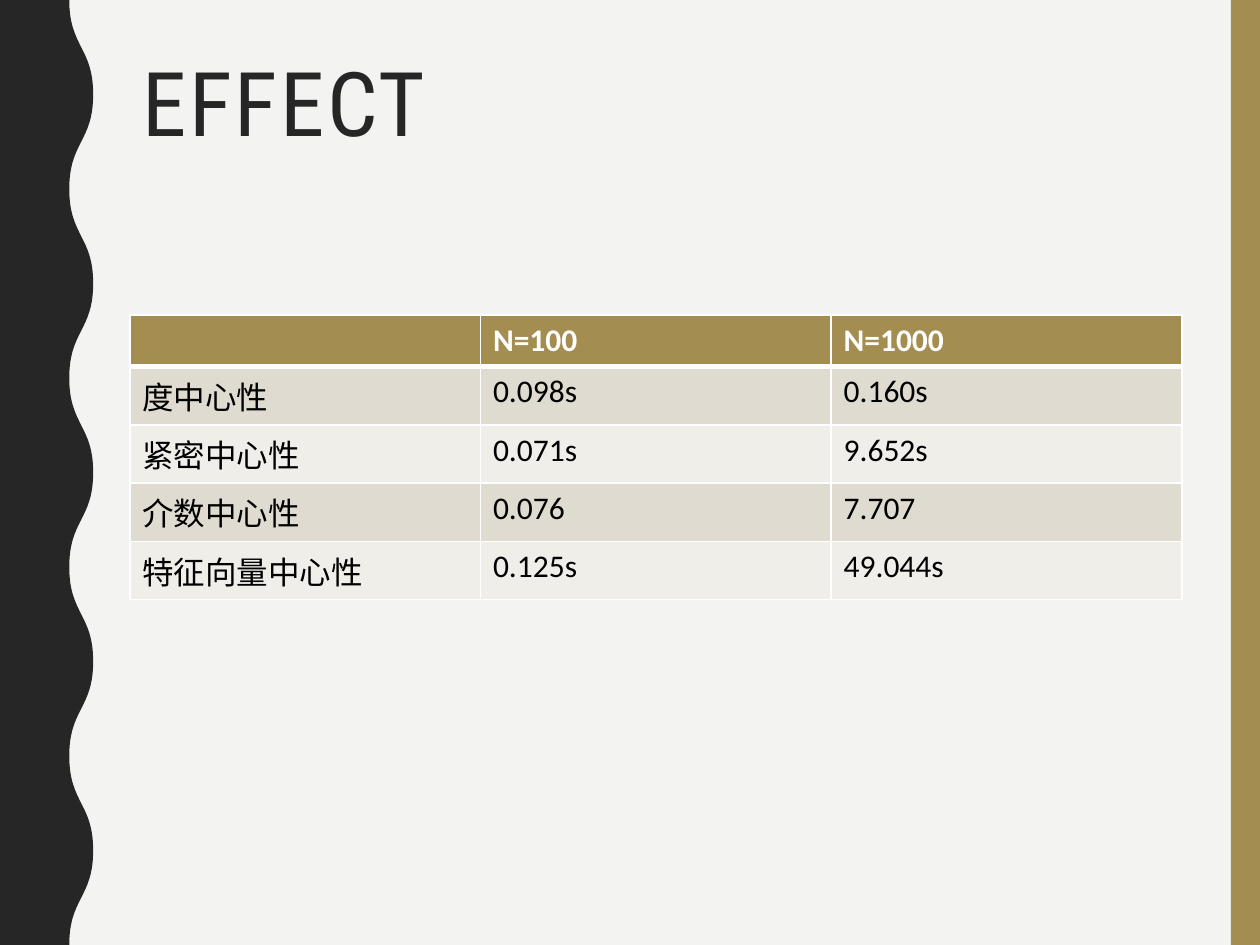
from dataclasses import dataclass

import pptx
import pptx.dml.color
import pptx.enum.shapes
import pptx.enum.text
import pptx.oxml
import pptx.oxml.ns
import pptx.util

Inches, Pt = pptx.util.Inches, pptx.util.Pt

WIDTH, HEIGHT = 10, 7.5
LEFT, CONTENT_WIDTH = 1.03, 8.35
GOLD, DARK, WHITE, BLACK = "A38D51", "262626", "FFFFFF", "000000"
BANDS = ("E0DBD0", "F0EEE9")


@dataclass
class RowStyle:
    fill: str
    color: str
    bold: bool
    bottom: float


ROWS = [
    ("", "N=100", "N=1000"),
    ("度中心性", "0.098s", "0.160s"),
    ("紧密中心性", "0.071s", "9.652s"),
    ("介数中心性", "0.076", "7.707"),
    ("特征向量中心性", "0.125s", "49.044s"),
]


def rgb(color: str) -> pptx.dml.color.RGBColor:
    return pptx.dml.color.RGBColor.from_string(color)


def paint(item, color: str) -> None:
    item.fill.solid()
    item.fill.fore_color.rgb = rgb(color)


def style_shape(sp, color: str) -> None:
    paint(sp, color)
    sp.line.fill.background()
    sp.shadow.inherit = False


def style_run(r, font: str, size: float, color: str, bold: bool = False) -> None:
    r.font.name = font
    r.font.size = Pt(size)
    r.font.bold = bold
    r.font.color.rgb = rgb(color)


def curve_segments(sp) -> None:
    """Turn each straight segment into an S-curve with vertical end tangents."""
    qn = pptx.oxml.ns.qn
    pt = next(sp._element.iter(qn("a:moveTo")))[0]
    x, y = int(pt.get("x")), int(pt.get("y"))
    for line in list(sp._element.iter(qn("a:lnTo"))):
        end_x, end_y = int(line[0].get("x")), int(line[0].get("y"))
        middle = (y + end_y) // 2
        points = "".join(f'<a:pt x="{px}" y="{py}"/>'
                         for px, py in ((x, middle), (end_x, middle), (end_x, end_y)))
        curve = pptx.oxml.parse_xml(
            f'<a:cubicBezTo {pptx.oxml.ns.nsdecls("a")}>{points}</a:cubicBezTo>')
        line.getparent().replace(line, curve)
        x, y = end_x, end_y


def add_wavy_edge(s, trough: float, crest: float, half_waves: int) -> None:
    """Dark band whose right edge swings between trough and crest."""
    edge = [(crest if i % 2 else trough, i * HEIGHT / half_waves)
            for i in range(half_waves + 1)]
    outline = [(Inches(x), Inches(y)) for x, y in [*edge, (0, HEIGHT), (0, 0)]]
    fb = s.shapes.build_freeform(*outline[0])
    fb.add_line_segments(outline[1:], close=True)
    sp = fb.convert_to_shape()
    curve_segments(sp)
    style_shape(sp, DARK)


def set_borders(cell, **widths: float) -> None:
    tcPr = cell._tc.get_or_add_tcPr()
    for side, width in widths.items():
        tcPr.append(pptx.oxml.parse_xml(
            f'<a:ln{side} {pptx.oxml.ns.nsdecls("a")} w="{Pt(width)}"><a:solidFill>'
            f'<a:srgbClr val="{WHITE}"/></a:solidFill></a:ln{side}>'))


def row_style(row: int) -> RowStyle:
    if row == 0:
        return RowStyle(GOLD, WHITE, True, 3)
    return RowStyle(BANDS[(row - 1) % 2], BLACK, False, 1)


def add_results_table(s, top: float, row_height: float) -> None:
    n_rows, n_cols = len(ROWS), len(ROWS[0])
    table = s.shapes.add_table(n_rows, n_cols, Inches(LEFT), Inches(top), Inches(CONTENT_WIDTH),
                               Inches(row_height * n_rows)).table
    for i, texts in enumerate(ROWS):
        style = row_style(i)
        top_width = row_style(i - 1).bottom if i else 1
        for j, text in enumerate(texts):
            cell = table.cell(i, j)
            set_borders(cell, L=1, R=1, T=top_width, B=style.bottom)
            paint(cell, style.fill)
            cell.text_frame.text = text
            for r in cell.text_frame.paragraphs[0].runs:
                style_run(r, "Calibri", 18, style.color, style.bold)


def set_title(s, text: str) -> None:
    sp = s.shapes.title
    sp.left, sp.top = Inches(LEFT), Inches(0.42)
    sp.width, sp.height = Inches(CONTENT_WIDTH), Inches(1.63)
    tf = sp.text_frame
    tf.text = text
    tf.auto_size = pptx.enum.text.MSO_AUTO_SIZE.NONE
    tf.vertical_anchor = pptx.enum.text.MSO_ANCHOR.TOP
    p = tf.paragraphs[0]
    p.alignment = pptx.enum.text.PP_ALIGN.LEFT
    p.line_spacing = 0.9
    r = p.runs[0]
    style_run(r, "Roboto Condensed", 51, DARK)
    r.font._element.set("spc", "150")  # letter spacing, 1.5 pt


def main() -> None:
    prs = pptx.Presentation()
    prs.slide_width, prs.slide_height = Inches(WIDTH), Inches(HEIGHT)
    s = prs.slides.add_slide(prs.slide_layouts[5])
    paint(s.background, "F3F3F2")

    # Side decoration
    bar_width = 0.23
    bar = s.shapes.add_shape(pptx.enum.shapes.MSO_SHAPE.RECTANGLE, Inches(WIDTH - bar_width), 0,
                             Inches(bar_width), Inches(HEIGHT))
    style_shape(bar, GOLD)
    add_wavy_edge(s, trough=0.55, crest=0.74, half_waves=10)

    # Content
    set_title(s, "EFFECT")
    add_results_table(s, top=2.5, row_height=0.41)

    prs.save("out.pptx")


if __name__ == "__main__":
    main()
